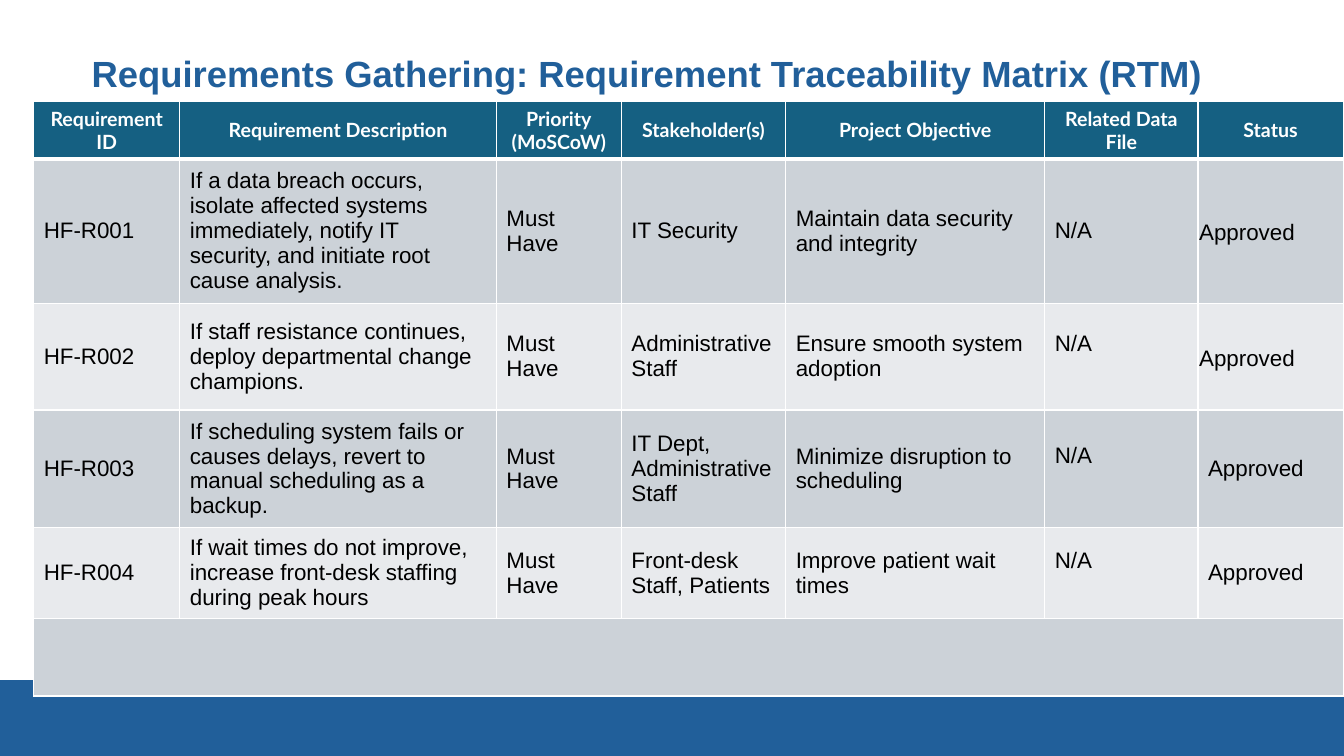
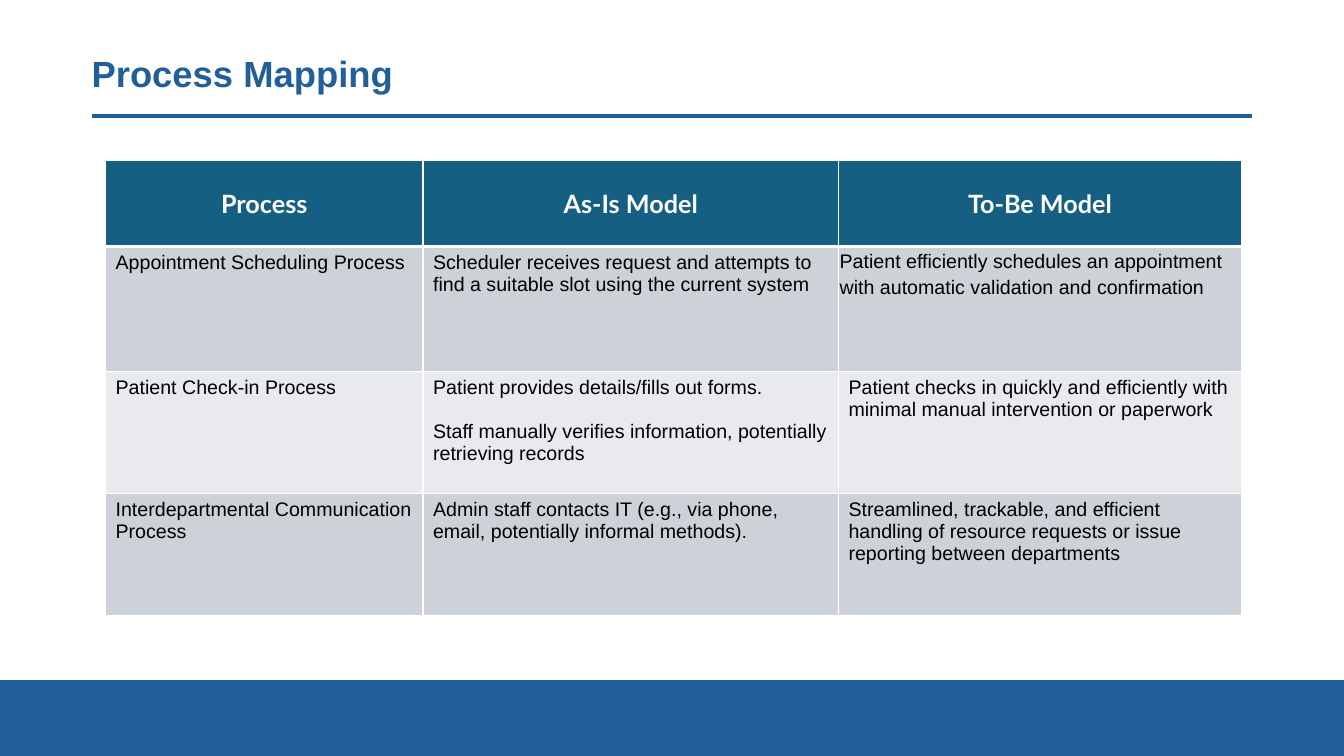
"""Build two project slides with a shared title, rule, band and table style."""
from lxml import etree
from pptx import Presentation
from pptx import util as u
from pptx.dml.color import RGBColor
from pptx.enum import shapes, text
from pptx.oxml.ns import qn

BLUE, TEAL, WHITE, BLACK = "215F9A", "156082", "FFFFFF", "000000"
BANDS = ("CCD2D8", "E8EAED")
MID, TOP = text.MSO_ANCHOR.MIDDLE, text.MSO_ANCHOR.TOP


def tint(code):
    return RGBColor.from_string(code)


class Deck:
    def __init__(self):
        self.prs = Presentation()
        self.prs.slide_width, self.prs.slide_height = u.Cm(33.87), u.Cm(19.05)

    def page(self, title):
        self.slide = self.prs.slides.add_slide(self.prs.slide_layouts[6])
        self.band(0, 17.15, 33.87, 1.9)
        self.rule(2.33, 2.92, 31.55)
        self.title(title)

    def band(self, *box):
        band = self.slide.shapes.add_shape(
            shapes.MSO_SHAPE.RECTANGLE, *map(u.Cm, box))
        band.shadow.inherit = False
        band.fill.solid()
        band.fill.fore_color.rgb = tint(BLUE)
        band.line.color.rgb = tint(BLUE)
        band.line.width = u.Pt(1.5)

    def rule(self, left, top, right):
        rule = self.slide.shapes.add_connector(
            shapes.MSO_CONNECTOR.STRAIGHT, *map(u.Cm, (left, top, right, top)))
        rule.line.color.rgb = tint(BLUE)
        rule.line.width = u.Pt(3)
        etree.SubElement(rule._element.spPr, qn("a:effectLst"))

    def title(self, words):
        box = self.slide.shapes.add_textbox(
            *map(u.Cm, (2.06, 0.95, 29.5, 1.9)))
        frame = box.text_frame
        frame.word_wrap = True
        frame.vertical_anchor = MID
        para = frame.paragraphs[0]
        para.line_spacing = 0.9
        self.run(para, words, 26, BLUE, "Arial", True)

    def run(self, para, words, size, color, face, bold=False):
        run = para.add_run()
        run.text = words
        font = run.font
        font.size, font.name, font.bold = u.Pt(size), face, bold
        font.color.rgb = tint(color)

    def edge(self, cell, row):
        props = cell._tc.get_or_add_tcPr()
        widths = (1, 1, 3 if row == 1 else 1, 3 if row == 0 else 1)
        for spot, (side, width) in enumerate(zip("LRTB", widths)):
            line = etree.Element(qn(f"a:ln{side}"), w=str(u.Pt(width)))
            fill = etree.SubElement(line, qn("a:solidFill"))
            etree.SubElement(fill, qn("a:srgbClr"), val=WHITE)
            props.insert(spot, line)

    def cell(self, cell, row, words, size, gap, tight):
        head = row == 0
        cell.fill.solid()
        cell.fill.fore_color.rgb = tint(TEAL if head else BANDS[(row - 1) % 2])
        self.edge(cell, row)
        if tight:
            cell.margin_left = cell.margin_right = u.Cm(0.03)
            cell.margin_top = cell.margin_bottom = u.Cm(0.03)
        frame = cell.text_frame
        for num, part in enumerate(words.split("\n") if words else []):
            para = frame.add_paragraph() if num else frame.paragraphs[0]
            if num and not head:
                para.space_before = u.Pt(gap)
            if tight:
                para.line_spacing = 1.15
            if head:
                para.alignment = text.PP_ALIGN.CENTER
                self.run(para, part, size, WHITE, "Lato", True)
            else:
                self.run(para, part, size, BLACK, "Arial")

    def table(self, left, top, cols, highs, rows, sizes, anchor, tight, gap=0):
        box = map(u.Cm, (left, top, sum(cols), sum(highs)))
        grid = self.slide.shapes.add_table(len(highs), len(cols), *box).table
        grid.horz_banding = False
        for col, wide in zip(grid.columns, cols):
            col.width = u.Cm(wide)
        for row, high in enumerate(highs):
            grid.rows[row].height = u.Cm(high)
            for col in range(len(cols)):
                cell = grid.cell(row, col)
                words = rows[row][col] if row < len(rows) else ""
                self.cell(cell, row, words, sizes[row > 0], gap,
                          (row, col) in tight)
                cell.vertical_anchor = anchor if row else MID
        return grid


def trace(deck):
    deck.page("Requirements Gathering: Requirement Traceability Matrix (RTM)")
    rows = [
        ("Requirement ID", "Requirement Description", "Priority\n(MoSCoW)",
         "Stakeholder(s)", "Project Objective", "Related Data File", "Status"),
    ]
    needs = [
        ("If a data breach occurs, isolate affected systems immediately, "
         "notify IT security, and initiate root cause analysis.",
         "IT Security", "Maintain data security and integrity"),
        ("If staff resistance continues, deploy departmental change champions.",
         "Administrative Staff", "Ensure smooth system adoption"),
        ("If scheduling system fails or causes delays, revert to manual "
         "scheduling as a backup.",
         "IT Dept, Administrative Staff", "Minimize disruption to scheduling"),
        ("If wait times do not improve, increase front-desk staffing during "
         "peak hours",
         "Front-desk Staff, Patients", "Improve patient wait times"),
    ]
    for num, (need, who, goal) in enumerate(needs, 1):
        rows.append((f"HF-R{num:03}", need, "Must Have", who, goal,
                     "N/A", "Approved"))
    grid = deck.table(
        0.85, 2.56, (3.68, 7.98, 3.15, 4.14, 6.53, 3.86, 3.66),
        (1.4, 3.4, 2.69, 2.57, 1.98, 1.96), rows, (14, 16), MID,
        {(1, 6), (2, 6)})
    for row in range(2, 5):
        grid.cell(row, 5).margin_bottom = u.Cm(0.76)
    grid.cell(5, 0).merge(grid.cell(5, 6))


def process(deck):
    deck.page("Process Mapping")
    rows = [
        ("Process", "As-Is Model", "To-Be Model"),
        ("Appointment Scheduling Process",
         "Scheduler receives request and attempts to find a suitable slot "
         "using the current system",
         "Patient efficiently schedules an appointment with automatic "
         "validation and confirmation"),
        ("Patient Check-in Process",
         "Patient provides details/fills out forms.\n"
         "Staff manually verifies information, potentially retrieving records",
         "Patient checks in quickly and efficiently with minimal manual "
         "intervention or paperwork"),
        ("Interdepartmental Communication Process",
         "Admin staff contacts IT (e.g., via phone, email, potentially "
         "informal methods).",
         "Streamlined, trackable, and efficient handling of resource requests "
         "or issue reporting between departments"),
    ]
    deck.table(2.66, 4.05, (8, 10.47, 10.16), (2.16, 3.15, 3.07, 3.07),
               rows, (18, 14), TOP, {(1, 2)}, 16)


def main():
    deck = Deck()
    trace(deck)
    process(deck)
    deck.prs.save("out.pptx")


if __name__ == "__main__":
    main()
